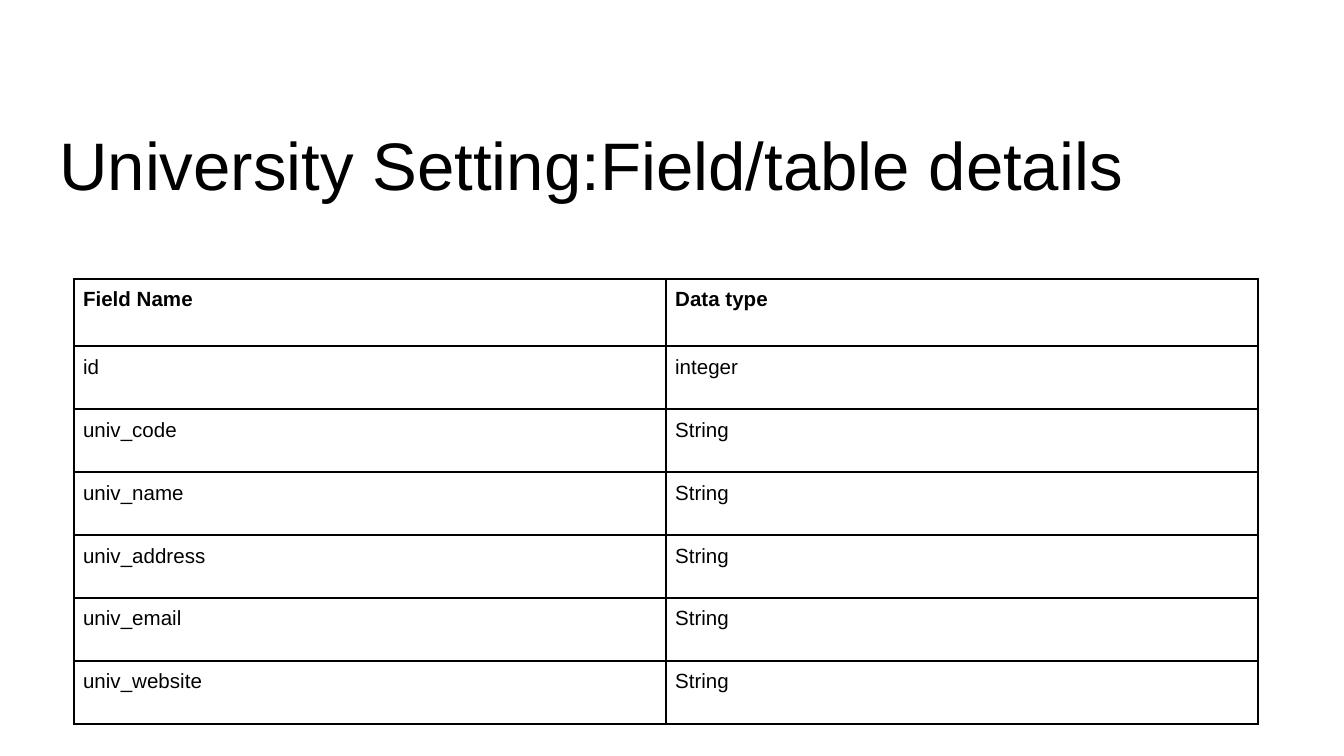
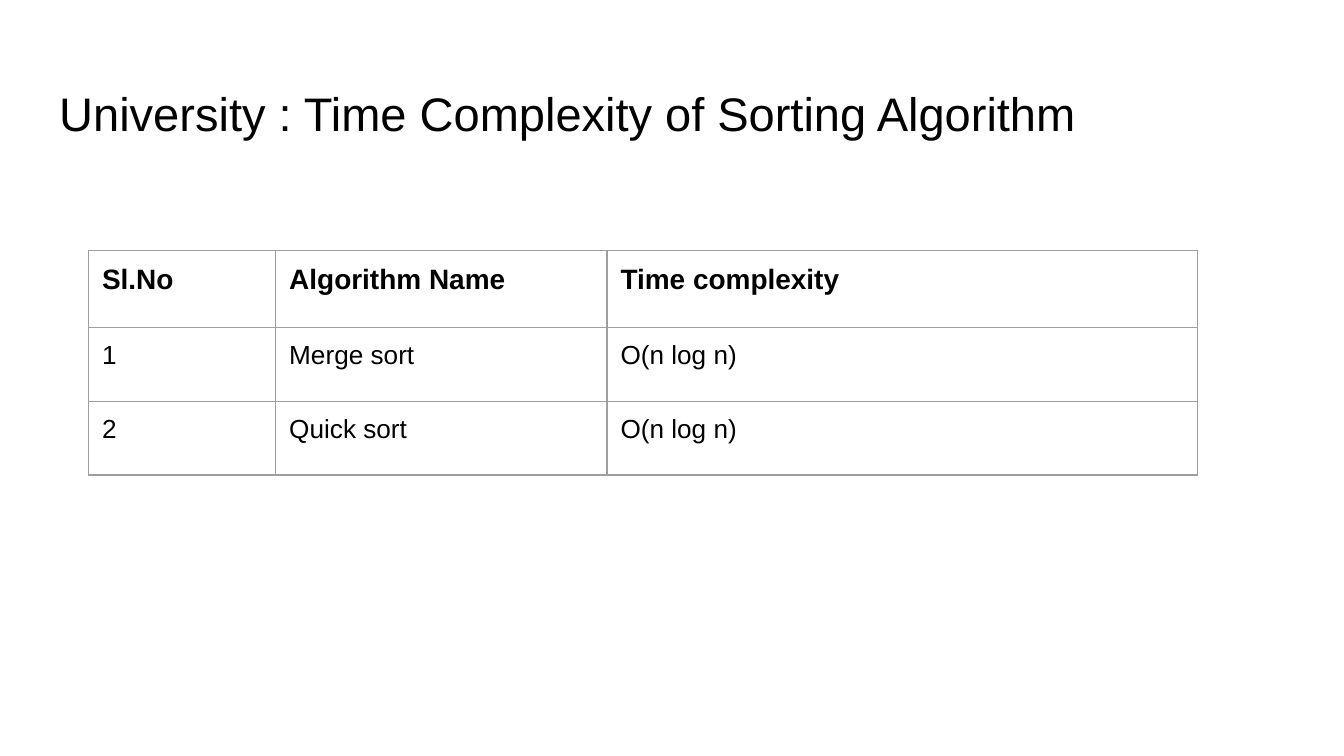
from lxml import etree
from pptx import Presentation
from pptx.dml.color import RGBColor
from pptx.enum import text
from pptx.oxml import ns
from pptx.util import Pt

BLACK = RGBColor(0x00, 0x00, 0x00)
GREY = RGBColor(0x9E, 0x9E, 0x9E)
WHITE = RGBColor(0xFF, 0xFF, 0xFF)
FONT = "Arial"
TITLE_LEFT, TITLE_WIDTH, TITLE_HEIGHT = 24.5, 671, 45.4
TITLE_INSET = 7.2
TITLE_ONLY = 5

FIELDS = [
    ("Field Name", "Data type"),
    ("id", "integer"),
    ("univ_code", "String"),
    ("univ_name", "String"),
    ("univ_address", "String"),
    ("univ_email", "String"),
    ("univ_website", "String"),
]
ALGORITHMS = [
    ("Sl.No", "Algorithm Name", "Time complexity"),
    ("1", "Merge sort", "O(n log n)"),
    ("2", "Quick sort", "O(n log n)"),
]


def set_font(paragraph, size, bold=False):
    font = paragraph.font
    font.name, font.size, font.bold = FONT, Pt(size), bold
    font.color.rgb = BLACK


def set_insets(target, inset):
    target.margin_left = target.margin_right = Pt(inset)
    target.margin_top = target.margin_bottom = Pt(inset)


def set_borders(cell, color, width):
    properties = cell._tc.get_or_add_tcPr()
    for side in ("lnL", "lnR", "lnT", "lnB"):
        line = etree.SubElement(properties, ns.qn(f"a:{side}"), w=str(Pt(width)))
        fill = etree.SubElement(line, ns.qn("a:solidFill"))
        etree.SubElement(fill, ns.qn("a:srgbClr"), val=str(color))


def add_titled_slide(presentation, title, top, size):
    slide = presentation.slides.add_slide(presentation.slide_layouts[TITLE_ONLY])
    slide.background.fill.solid()
    slide.background.fill.fore_color.rgb = WHITE
    shape = slide.shapes.title
    shape.left, shape.top = Pt(TITLE_LEFT), Pt(top)
    shape.width, shape.height = Pt(TITLE_WIDTH), Pt(TITLE_HEIGHT)
    frame = shape.text_frame
    frame.text = title
    frame.word_wrap = True
    frame.auto_size = text.MSO_AUTO_SIZE.NONE
    frame.vertical_anchor = text.MSO_ANCHOR.TOP
    set_insets(frame, TITLE_INSET)
    paragraph = frame.paragraphs[0]
    paragraph.alignment = text.PP_ALIGN.LEFT
    paragraph.line_spacing = 1.1
    set_font(paragraph, size)
    return slide


def add_grid(slide, rows, left, top, widths, header_height, row_height,
             header_size, body_size, inset, border_color, border_width):
    heights = [header_height] + [row_height] * (len(rows) - 1)
    table = slide.shapes.add_table(
        len(rows), len(widths), Pt(left), Pt(top), Pt(sum(widths)), Pt(sum(heights))
    ).table
    table.first_row = table.horz_banding = False
    for column, width in zip(table.columns, widths):
        column.width = Pt(width)
    for row_index, (row, values) in enumerate(zip(table.rows, rows)):
        row.height = Pt(heights[row_index])
        is_header = row_index == 0
        for cell, value in zip(row.cells, values):
            cell.text = value
            set_insets(cell, inset)
            set_borders(cell, border_color, border_width)
            cell.fill.background()
            set_font(cell.text_frame.paragraphs[0],
                     header_size if is_header else body_size, is_header)


def add_field_slide(presentation):
    slide = add_titled_slide(
        presentation, "University Setting:Field/table details", 54.7, 36)
    add_grid(slide, FIELDS, left=39.5, top=149.5, widths=[317.25] * 2,
             header_height=36, row_height=33.75, header_size=11, body_size=11,
             inset=5, border_color=BLACK, border_width=1)


def add_complexity_slide(presentation):
    slide = add_titled_slide(
        presentation, "University : Time Complexity of Sorting Algorithm", 35.3, 25.2)
    add_grid(slide, ALGORITHMS, left=47.5, top=134.25, widths=[100.25, 177.5, 316.25],
             header_height=41.25, row_height=39.5, header_size=15, body_size=14,
             inset=7.2, border_color=GREY, border_width=0.75)


def main():
    presentation = Presentation()
    presentation.slide_width, presentation.slide_height = Pt(720), Pt(405)
    add_field_slide(presentation)
    add_complexity_slide(presentation)
    presentation.save("out.pptx")


if __name__ == "__main__":
    main()
